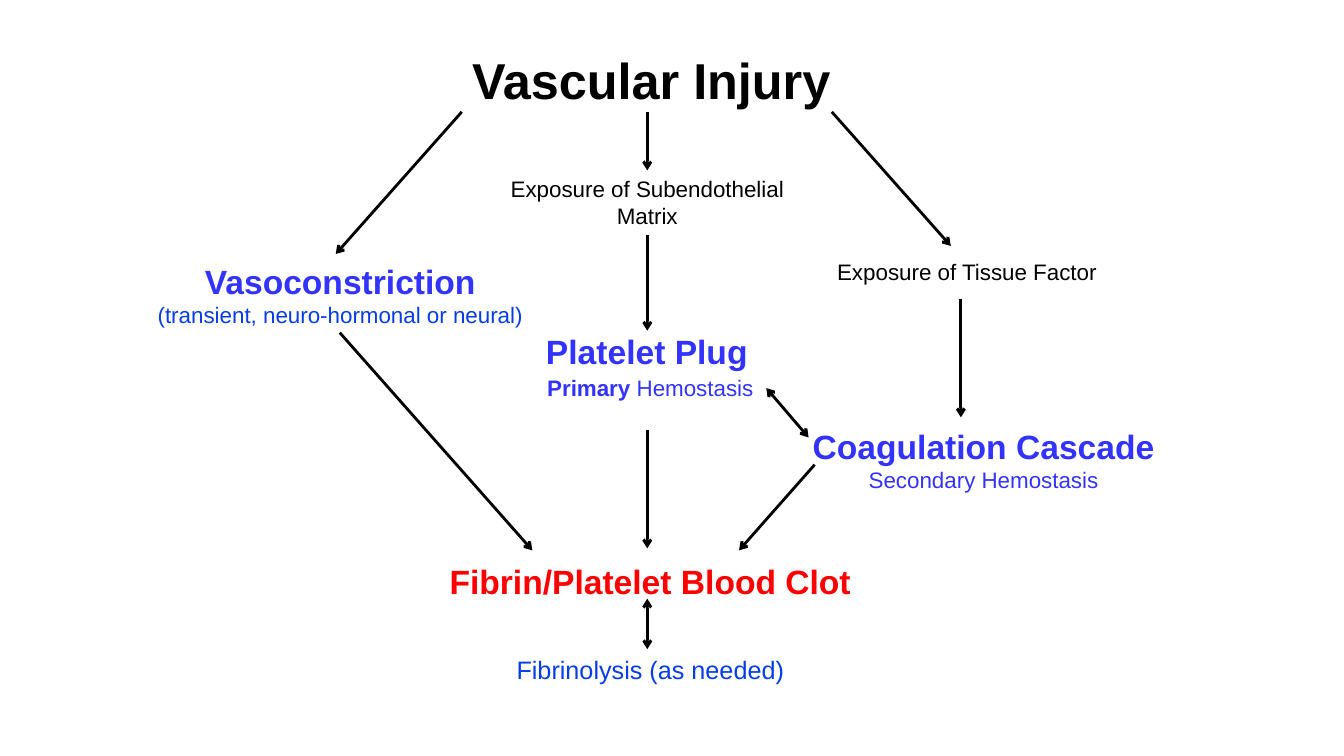
from lxml import etree
from pptx import Presentation
from pptx import util as u
from pptx.dml.color import RGBColor
from pptx.enum import shapes, text
from pptx.oxml.ns import qn

BLACK = RGBColor(0x00, 0x00, 0x00)
RED = RGBColor(0xFF, 0x00, 0x00)
VIOLET = RGBColor(0x33, 0x33, 0xFF)
BLUE = RGBColor(0x06, 0x3D, 0xE8)

PX = u.Inches(1) // 100
SLIDE_SIZE = (1333, 750)
CENTER = 642

HEADING = {"size": u.Pt(24), "bold": True, "color": VIOLET}
DETAIL = {"size": u.Pt(16), "bold": False, "color": VIOLET}
NOTE = {**DETAIL, "color": BLUE}
CAUSE = {**DETAIL, "color": BLACK}

TITLE = (
    (444, 44, 404, 71),
    [[("Vascular Injury", {"size": u.Pt(36), "bold": True, "color": BLACK})]],
)

LABELS = [
    ((423, 552, 444, 50), [[("Fibrin/Platelet Blood Clot", {**HEADING, "color": RED})]]),
    ((474, 644, 342, 40), [[("Fibrinolysis (as needed)", {**NOTE, "size": u.Pt(18)})]]),
    ((141, 254, 393, 77), [
        [("Vasoconstriction", HEADING)],
        [("(transient, neuro-hormonal or neural)", NOTE)],
    ]),
    ((354, 323, 575, 81), [
        [("Platelet Plug", HEADING)],
        [
            (" ", {**DETAIL, "size": u.Pt(18)}),
            ("Primary ", {**DETAIL, "bold": True}),
            ("Hemostasis", DETAIL),
        ],
    ]),
    ((471, 169, 342, 64), [[("Exposure of Subendothelial Matrix", CAUSE)]]),
    ((688, 418, 575, 77), [
        [("Coagulation Cascade", HEADING)],
        [("Secondary Hemostasis", DETAIL)],
    ]),
    ((788, 251, 342, 37), [[("Exposure of Tissue Factor", CAUSE)]]),
]

ONE_WAY = ("tailEnd",)
TWO_WAY = ("headEnd", "tailEnd")
ARROWS = [
    ((CENTER, 111), (CENTER, 169), ONE_WAY),
    ((CENTER, 233), (CENTER, 328), ONE_WAY),
    ((CENTER, 427), (CENTER, 544), ONE_WAY),
    ((CENTER, 594), (CENTER, 644), TWO_WAY),
    ((458, 111), (333, 252), ONE_WAY),
    ((825, 111), (943, 244), ONE_WAY),
    ((337, 330), (528, 546), ONE_WAY),
    ((953, 297), (953, 414), ONE_WAY),
    ((808, 461), (733, 546), ONE_WAY),
    ((760, 385), (802, 434), TWO_WAY),
]


def write_label(shape, box, paragraphs):
    for name, value in zip(("left", "top", "width", "height"), box):
        setattr(shape, name, value * PX)
    frame = shape.text_frame
    frame.word_wrap = True
    frame.auto_size = text.MSO_AUTO_SIZE.SHAPE_TO_FIT_TEXT
    frame.vertical_anchor = text.MSO_ANCHOR.TOP
    for index, runs in enumerate(paragraphs):
        paragraph = frame.add_paragraph() if index else frame.paragraphs[0]
        paragraph.alignment = text.PP_ALIGN.CENTER
        for words, style in runs:
            run = paragraph.add_run()
            run.text = words
            run.font.name = "Arial"
            for name, value in style.items():
                if name == "color":
                    run.font.color.rgb = value
                else:
                    setattr(run.font, name, value)


def draw_arrow(slide, start, end, heads):
    points = [value * PX for value in start + end]
    connector = slide.shapes.add_connector(shapes.MSO_CONNECTOR.STRAIGHT, *points)
    connector.line.color.rgb = BLACK
    connector.line.width = u.Pt(2)
    line = connector.line._get_or_add_ln()
    for head in heads:
        etree.SubElement(line, qn(f"a:{head}"), type="arrow")
    etree.SubElement(connector._element.spPr, qn("a:effectLst"))


def main():
    presentation = Presentation()
    presentation.slide_width, presentation.slide_height = (side * PX for side in SLIDE_SIZE)
    slide = presentation.slides.add_slide(presentation.slide_layouts[5])
    write_label(slide.shapes.title, *TITLE)
    for box, paragraphs in LABELS:
        write_label(slide.shapes.add_textbox(0, 0, 0, 0), box, paragraphs)
    for arrow in ARROWS:
        draw_arrow(slide, *arrow)
    presentation.save("out.pptx")


if __name__ == "__main__":
    main()
